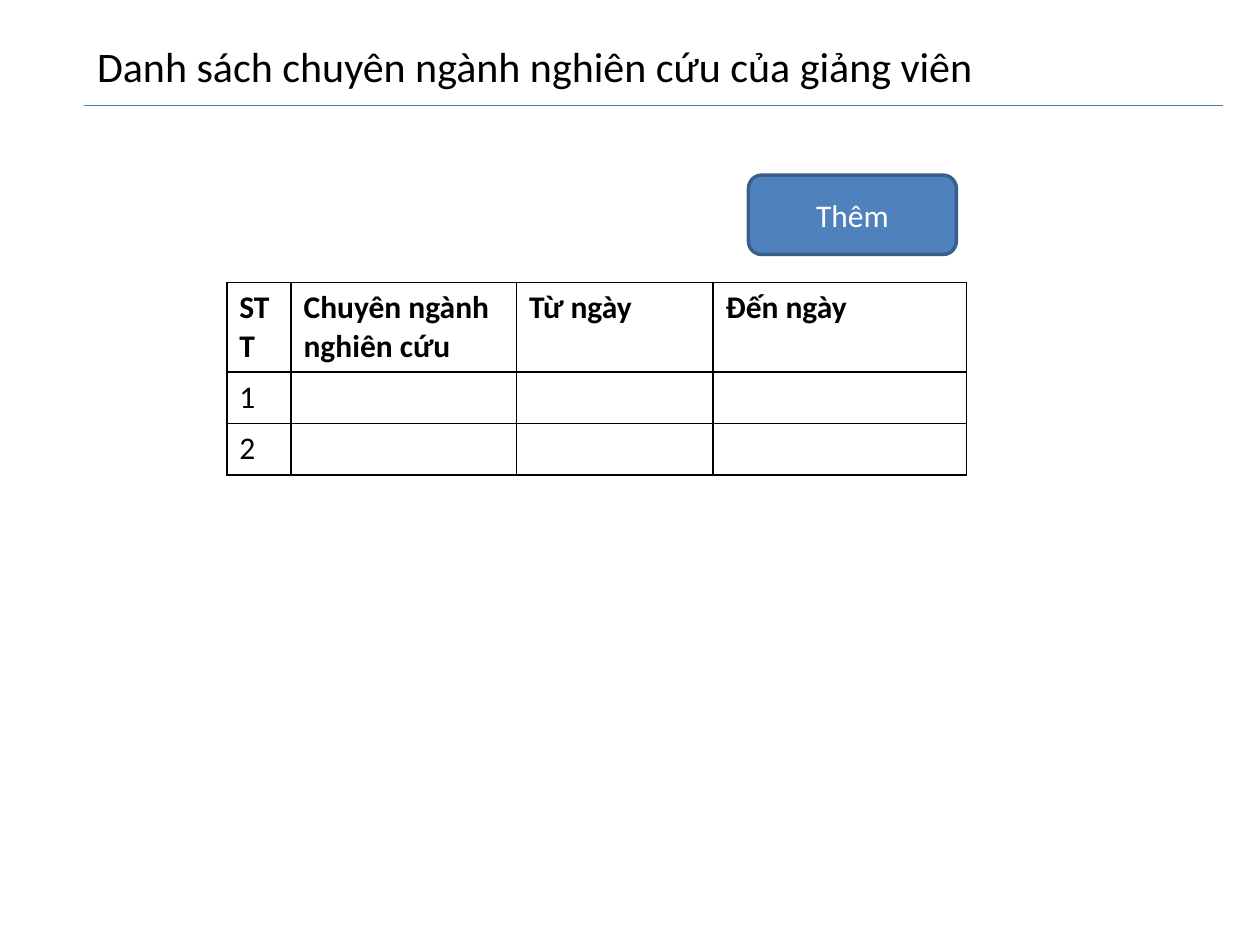
from lxml import etree
from pptx import Presentation
from pptx.dml.color import RGBColor
from pptx.enum.shapes import MSO_CONNECTOR, MSO_SHAPE
from pptx.enum.text import MSO_ANCHOR, MSO_AUTO_SIZE, PP_ALIGN
from pptx.oxml import parse_xml
from pptx.oxml.ns import nsdecls, qn
from pptx.util import Inches, Pt


def style_text(frame, size, color="000000", bold=False, align=PP_ALIGN.LEFT):
    """Format the first paragraph of a text frame."""
    paragraph = frame.paragraphs[0]
    paragraph.alignment = align
    font = paragraph.font
    font.name, font.size, font.bold = "Calibri", Pt(size), bold
    font.color.rgb = RGBColor.from_string(color)


def add_borders(cell, color, width):
    """Draw a solid line on all four sides of a table cell."""
    properties = cell._tc.get_or_add_tcPr()
    for index, side in enumerate(("lnL", "lnR", "lnT", "lnB")):
        properties.insert(index, parse_xml(
            f'<a:{side} {nsdecls("a")} w="{Pt(width)}"><a:solidFill>'
            f'<a:srgbClr val="{color}"/></a:solidFill></a:{side}>'))


prs = Presentation()
prs.slide_width, prs.slide_height = Inches(10), Inches(7.5)
slide = prs.slides.add_slide(prs.slide_layouts[5])

# Title and rule
title = slide.shapes.title
title.left, title.top = Inches(0.67), Inches(0.27)
title.width, title.height = Inches(9.04), Inches(0.5)
title.text_frame.text = "Danh sách chuyên ngành nghiên cứu của giảng viên"
title.text_frame.auto_size = MSO_AUTO_SIZE.NONE
title.text_frame.vertical_anchor = MSO_ANCHOR.TOP
style_text(title.text_frame, 24)

rule = slide.shapes.add_connector(
    MSO_CONNECTOR.STRAIGHT, Inches(0.67), Inches(0.84), Inches(9.71), Inches(0.84))
rule.line.color.rgb = RGBColor.from_string("4B7EBC")
rule.line.width = Pt(0.75)
etree.SubElement(rule._element.spPr, qn("a:effectLst"))

# Research field table
rows = [
    ["STT", "Chuyên ngành nghiên cứu", "Từ ngày", "Đến ngày"],
    ["1", "", "", ""],
    ["2", "", "", ""],
]
column_widths = [0.51, 1.79, 1.56, 2.01]
row_heights = [0.7, 0.41, 0.41]
table = slide.shapes.add_table(
    len(rows), len(column_widths), Inches(1.8), Inches(2.24),
    Inches(sum(column_widths)), Inches(sum(row_heights))).table
for column, width in zip(table.columns, column_widths):
    column.width = Inches(width)
for row_index, (row, height) in enumerate(zip(rows, row_heights)):
    table.rows[row_index].height = Inches(height)
    for column_index, text in enumerate(row):
        cell = table.cell(row_index, column_index)
        cell.text = text
        cell.fill.background()
        style_text(cell.text_frame, 18, bold=row_index == 0)
        add_borders(cell, "000000", 1)

# Add button
button = slide.shapes.add_shape(
    MSO_SHAPE.ROUNDED_RECTANGLE, Inches(5.94), Inches(1.39), Inches(1.65), Inches(0.63))
button.shadow.inherit = False
button.fill.solid()
button.fill.fore_color.rgb = RGBColor.from_string("4F81BD")
button.line.color.rgb = RGBColor.from_string("3A5F8C")
button.line.width = Pt(2)
button.text_frame.text = "Thêm"
button.text_frame.vertical_anchor = MSO_ANCHOR.MIDDLE
style_text(button.text_frame, 18, "FFFFFF", align=PP_ALIGN.CENTER)

prs.save("out.pptx")
